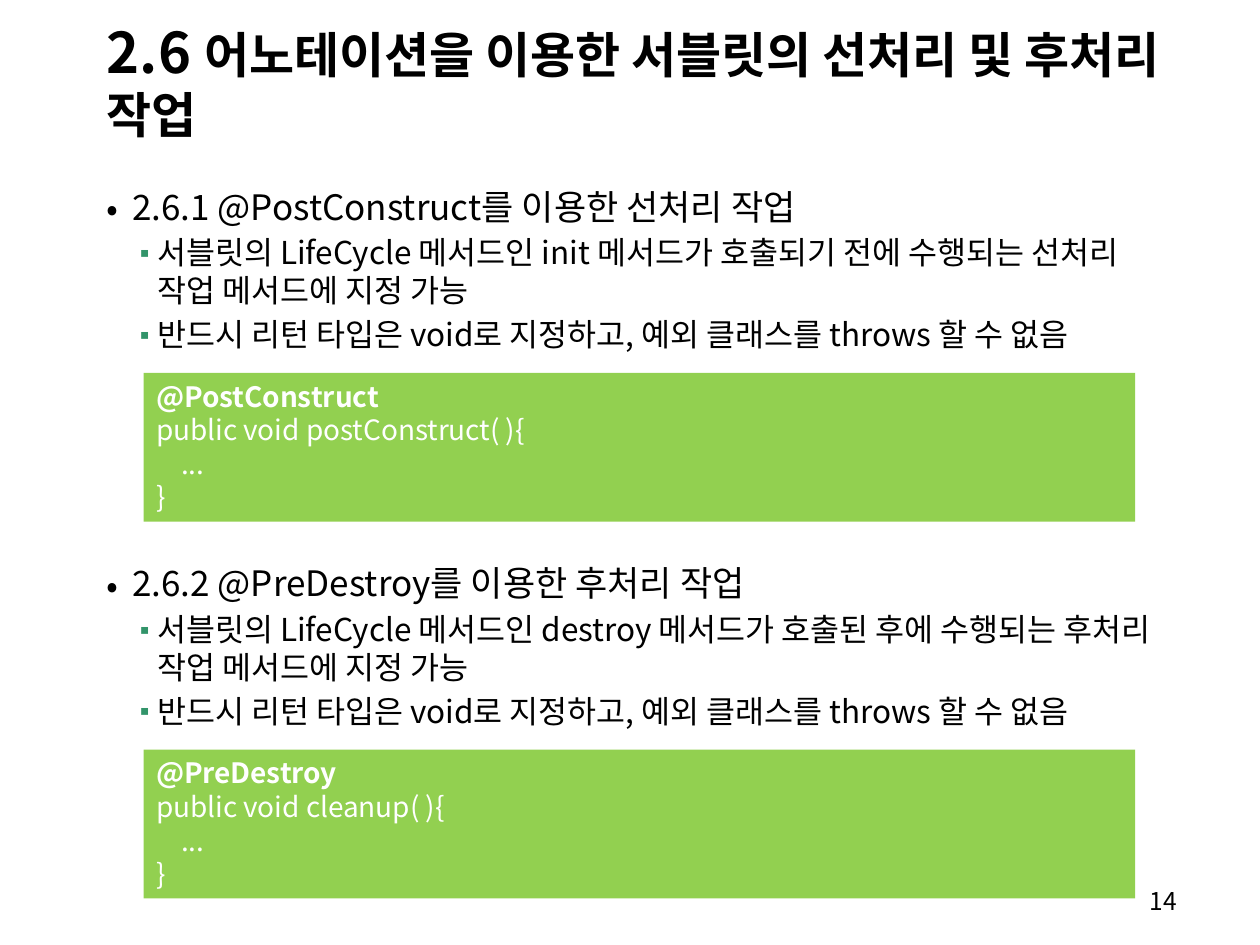
from lxml.etree import SubElement
from pptx import Presentation
from pptx.dml.color import RGBColor
from pptx.enum.shapes import MSO_SHAPE
from pptx.enum.text import MSO_ANCHOR, PP_ALIGN
from pptx.oxml.ns import qn
from pptx.util import Inches, Pt

FONT = "Noto Sans CJK KR"
SECTION_PITCH = 2.99
SECTIONS = [
    (
        "2.6.1 @PostConstruct를 이용한 선처리 작업",
        [
            "서블릿의 LifeCycle 메서드인 init 메서드가 호출되기 전에 수행되는 선처리 작업 메서드에 지정 가능",
            "반드시 리턴 타입은 void로 지정하고, 예외 클래스를 throws 할 수 없음",
        ],
        ["@PostConstruct", "public void postConstruct( ){", "...", "}"],
    ),
    (
        "2.6.2 @PreDestroy를 이용한 후처리 작업",
        [
            "서블릿의 LifeCycle 메서드인 destroy 메서드가 호출된 후에 수행되는 후처리 작업 메서드에 지정 가능",
            "반드시 리턴 타입은 void로 지정하고, 예외 클래스를 throws 할 수 없음",
        ],
        ["@PreDestroy", "public void cleanup( ){", "...", "}"],
    ),
]


def color(value):
    """Turn a hex string into a colour."""
    return RGBColor.from_string(value)


def add_span(para, text, size=18, bold=False, fill="000000"):
    """Add formatted text to a paragraph."""
    span = para.add_run()
    span.text = text
    span.font.size = Pt(size)
    span.font.bold = bold
    span.font.name = FONT
    span.font.color.rgb = color(fill)
    SubElement(span.font._element, qn("a:ea"), typeface=FONT)


def set_indent(para, left, first=0):
    """Set the left margin and first-line indent of a paragraph in inches."""
    properties = para._p.get_or_add_pPr()
    properties.set("marL", str(Inches(left)))
    properties.set("indent", str(Inches(first)))


def add_bullet(para, mark, left, space, tint=None, percent=100):
    """Give a paragraph a hanging bullet and space before it."""
    para.space_before = Pt(space)
    set_indent(para, left, -0.2)
    properties = para._p.get_or_add_pPr()
    if tint:
        holder = SubElement(properties, qn("a:buClr"))
        SubElement(holder, qn("a:srgbClr"), val=tint)
    SubElement(properties, qn("a:buSzPct"), val=str(percent * 1000))
    SubElement(properties, qn("a:buFont"), typeface=FONT)
    SubElement(properties, qn("a:buChar"), char=mark)


def add_frame(page, left, top, width, height):
    """Add a wrapping text box and return its text frame."""
    box = page.shapes.add_textbox(Inches(left), Inches(top), Inches(width), Inches(height))
    box.text_frame.word_wrap = True
    return box.text_frame


def add_title(page, left, top, width, height):
    """Place the slide title."""
    frame = add_frame(page, left, top, width, height)
    frame.vertical_anchor = MSO_ANCHOR.MIDDLE
    para = frame.paragraphs[0]
    add_span(para, "2.6 ", size=32, bold=True)
    add_span(para, "어노테이션을 이용한 서블릿의 선처리 및 후처리 작업", size=28, bold=True)


def add_points(page, heading, points, left, top, width, height):
    """Place a section heading and its points."""
    frame = add_frame(page, left, top, width, height)
    para = frame.paragraphs[0]
    add_bullet(para, "•", 0.2, 4)
    add_span(para, heading, size=20)
    for point in points:
        para = frame.add_paragraph()
        para.level = 1
        add_bullet(para, "▪", 0.4, 3.6, tint="32946A", percent=80)
        add_span(para, point)


def add_code(page, lines, left, top, width, height):
    """Place a filled box of code with a bold first line."""
    box = page.shapes.add_shape(
        MSO_SHAPE.RECTANGLE, Inches(left), Inches(top), Inches(width), Inches(height)
    )
    box.shadow.inherit = False
    box.fill.solid()
    box.fill.fore_color.rgb = color("92D050")
    box.line.fill.background()
    frame = box.text_frame
    frame.word_wrap = True
    frame.vertical_anchor = MSO_ANCHOR.TOP
    for index, line in enumerate(lines):
        para = frame.add_paragraph() if index else frame.paragraphs[0]
        para.alignment = PP_ALIGN.LEFT
        if line == "...":
            set_indent(para, 0.2)
        add_span(para, line, size=16, bold=index == 0, fill="FFFFFF")


def add_page_number(page, number, left, top, width, height):
    """Place the page number."""
    para = add_frame(page, left, top, width, height).paragraphs[0]
    para.alignment = PP_ALIGN.RIGHT
    add_span(para, number, size=14)


def main():
    """Build and save the deck."""
    deck = Presentation()
    deck.slide_width, deck.slide_height = Inches(10), Inches(7.5)
    page = deck.slides.add_slide(deck.slide_layouts[6])
    add_title(page, 0.75, 0.13, 9.25, 1.02)
    for index, (heading, points, code) in enumerate(SECTIONS):
        shift = index * SECTION_PITCH
        add_points(page, heading, points, 0.75, 1.42 + shift, 8.73, 1.5)
        add_code(page, code, 1.14, 2.96 + shift, 7.87, 1.18)
    add_page_number(page, "14", 7.36, 6.98, 2.08, 0.35)
    deck.save("out.pptx")


if __name__ == "__main__":
    main()
